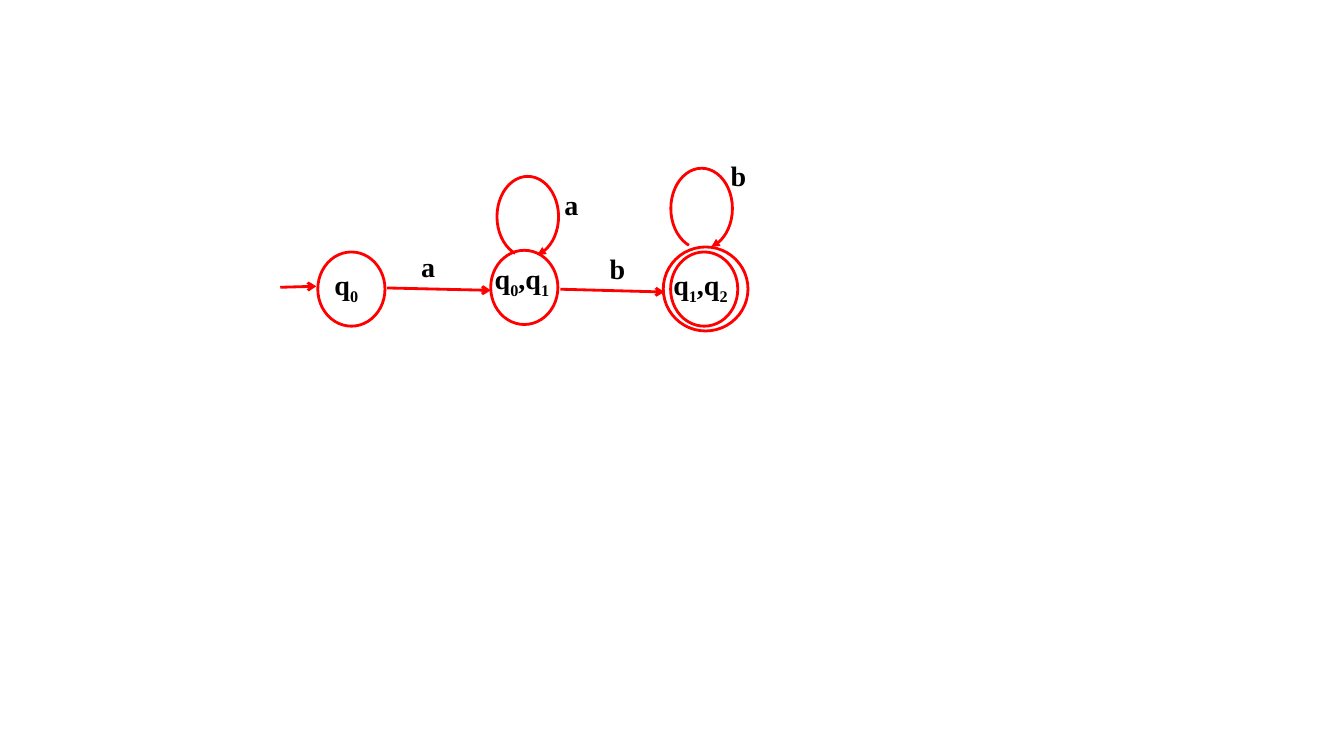
from dataclasses import dataclass
from lxml.etree import SubElement
from pptx import Presentation
from pptx.dml.color import RGBColor
from pptx.enum.shapes import MSO_CONNECTOR, MSO_SHAPE
from pptx.oxml.ns import qn
from pptx.util import Pt


@dataclass(frozen=True)
class Theme:
    ink: RGBColor = RGBColor(0, 0, 0)
    edge: RGBColor = RGBColor(255, 0, 0)
    font: str = "Times New Roman"
    size: int = 20
    after: int = 10
    line: int = 2


class Board:
    def __init__(self, slide, theme):
        self.slide = slide
        self.theme = theme

    def stroke(self, shape, head=None):
        """Draw the outline in the edge colour, with an arrowhead if one is named."""
        shape.line.color.rgb = self.theme.edge
        shape.line.width = Pt(self.theme.line)
        if head:
            SubElement(shape.line._get_or_add_ln(), qn("a:tailEnd"), type=head)

    def outline(self, kind, x, y, w, h, head=None):
        shape = self.slide.shapes.add_shape(kind, Pt(x), Pt(y), Pt(w), Pt(h))
        shape.shadow.inherit = False
        shape.fill.background()
        self.stroke(shape, head)
        return shape

    def state(self, x, y, w=48, h=53):
        self.outline(MSO_SHAPE.OVAL, x, y, w, h)

    def loop(self, x, y):
        arc = self.outline(MSO_SHAPE.ARC, x, y, 44, 57.6, "triangle")
        for i, angle in enumerate((109, 76)):
            arc.adjustments[i] = angle * 0.6  # one degree is 60000 units

    def arrow(self, x1, y1, x2, y2):
        line = self.slide.shapes.add_connector(
            MSO_CONNECTOR.STRAIGHT, Pt(x1), Pt(y1), Pt(x2), Pt(y2))
        self.stroke(line, "arrow")
        SubElement(line._element.spPr, qn("a:effectLst"))

    def label(self, text, x, y, w=26.6, h=24.5):
        """Write text in which each digit is a subscript."""
        box = self.slide.shapes.add_textbox(Pt(x), Pt(y), Pt(w), Pt(h))
        box.text_frame.word_wrap = True
        para = box.text_frame.paragraphs[0]
        para.space_after = Pt(self.theme.after)
        for char in text:
            run = para.add_run()
            run.text = char
            run.font.name = self.theme.font
            run.font.size = Pt(self.theme.size)
            run.font.bold = True
            run.font.color.rgb = self.theme.ink
            if char.isdigit():
                run._r.get_or_add_rPr().set("baseline", "-25000")


def main():
    deck = Presentation()
    deck.slide_width, deck.slide_height = Pt(960), Pt(540)
    board = Board(deck.slides.add_slide(deck.slide_layouts[6]), Theme())

    for x, y in ((227, 180), (350.5, 178.8), (479, 180)):
        board.state(x, y)
    board.state(473.8, 176.4, 60.5, 60)  # outer ring of the final state

    for ends in ((200.2, 205.2, 226, 204.5),
                 (276.5, 205.7, 350.6, 207.4),
                 (400.3, 206.6, 474.5, 208.6)):
        board.arrow(*ends)
    for x, y in ((355, 126), (479.2, 120.2)):
        board.loop(x, y)

    for name, x, y, w in (("q0", 231.8, 187.5, 49),
                          ("q0,q1", 346.3, 183, 58.3),
                          ("q1,q2", 473.8, 187.8, 58.3)):
        board.label(name, x, y, w, 36)
    for sign, x, y in (("a", 293.8, 175), ("a", 396, 130.3),
                       ("b", 428.4, 176.4), ("b", 514.8, 109.6)):
        board.label(sign, x, y)

    deck.save("out.pptx")


if __name__ == "__main__":
    main()
